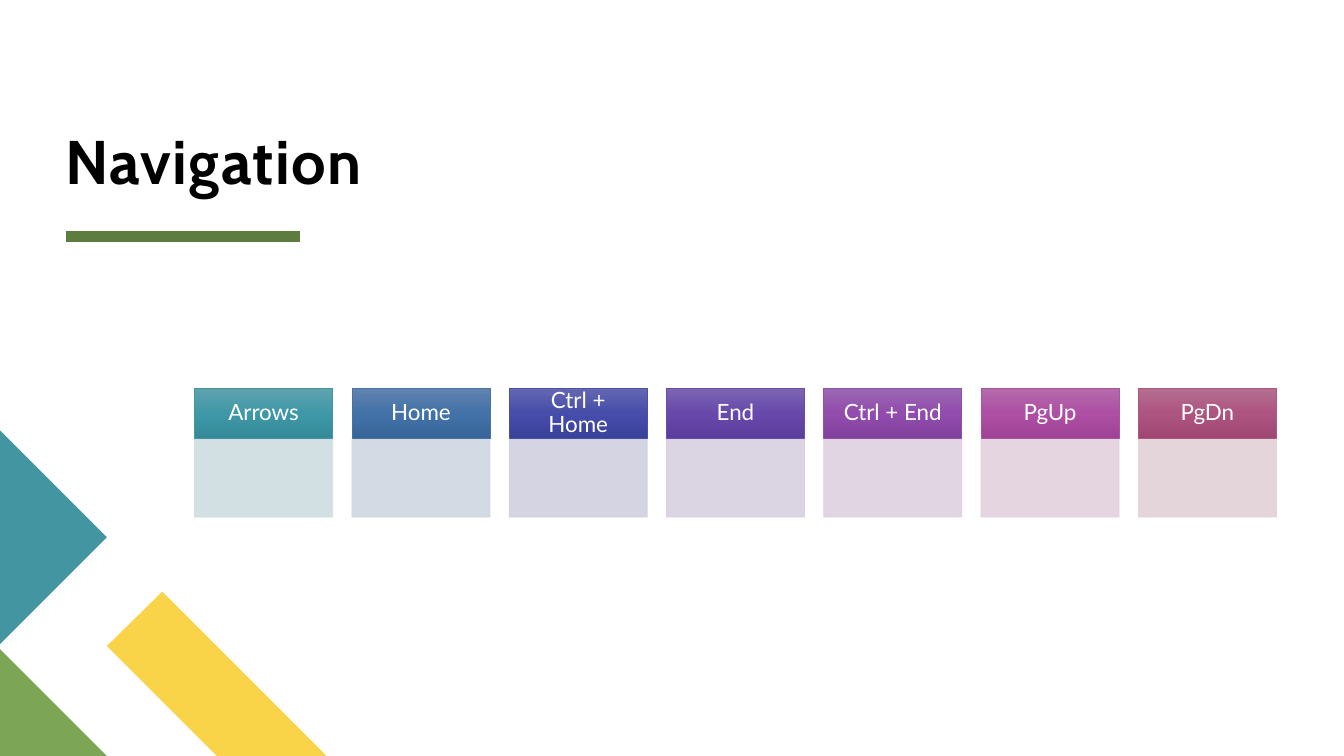
"""Builds the Navigation slide: a title above seven keyboard-key cards."""
from copy import deepcopy

from lxml import etree
from pptx import Presentation
from pptx.dml.color import RGBColor
from pptx.enum.shapes import MSO_CONNECTOR, MSO_SHAPE
from pptx.enum.text import MSO_ANCHOR, PP_ALIGN
from pptx.oxml.ns import qn
from pptx.util import Inches, Pt

RECT = MSO_SHAPE.RECTANGLE
STRAIGHT = MSO_CONNECTOR.STRAIGHT
MIDDLE, BOTTOM = MSO_ANCHOR.MIDDLE, MSO_ANCHOR.BOTTOM
CENTER = PP_ALIGN.CENTER

BLACK = RGBColor(0x00, 0x00, 0x00)
WHITE = RGBColor(0xFF, 0xFF, 0xFF)
DARK_GREEN = RGBColor(0x5D, 0x7D, 0x40)
YELLOW = RGBColor(0xF9, 0xD4, 0x48)
GREEN = RGBColor(0x7C, 0xA6, 0x55)
TEAL = RGBColor(0x44, 0x95, 0xA2)

CARDS = [
    ("Arrows", ("60A2AE", "3F98A7", "348A98"), "4495A2", "CFDDE0"),
    ("Home", ("6283AF", "4272A8", "37659A"), "4772A4", "CFD6E0"),
    ("Ctrl + Home", ("6468B1", "464DAA", "3A419B"), "4A51A5", "D0D0E1"),
    ("End", ("7B66B2", "6849AB", "5B3D9C"), "6A4DA7", "D7D0E1"),
    ("Ctrl + End", ("9C68B3", "914CAD", "82409D"), "8F50A8", "DED1E1"),
    ("PgUp", ("B36BAB", "AE4FA4", "9E4395"), "AA54A1", "E2D1DE"),
    ("PgDn", ("B36F8F", "AE5481", "9F4673"), "AA5881", "E2D1D8"),
]
LEFT, TOP, PITCH, WIDTH = 1.93, 3.85, 1.56, 1.37
HEAD_H, BODY_TOP, BODY_H = 0.5, 4.36, 0.77

CORNER = [
    (YELLOW, [(3.24, 7.5), (2.15, 7.5), (1.06, 6.41), (1.61, 5.87)]),
    (GREEN, [(1.06, 7.5), (0, 7.5), (0, 6.44)]),
    (TEAL, [(0, 4.27), (1.06, 5.33), (0, 6.39)]),
]


def add_text(tf, text, font, size, color):
    p = tf.paragraphs[0]
    r = p.add_run()
    r.text = text
    r.font.name = font
    r.font.size = Pt(size)
    r.font.color.rgb = color
    return p, r


def add_box(left, top, height, line_color):
    s = slide.shapes.add_shape(RECT, Inches(left), Inches(top), Inches(WIDTH), Inches(height))
    s.shadow.inherit = False
    s.line.color.rgb = RGBColor.from_string(line_color)
    s.line.width = Pt(0.5)
    return s


prs = Presentation()
prs.slide_width = Inches(13.33)
prs.slide_height = Inches(7.5)
slide = prs.slides.add_slide(prs.slide_layouts[6])

rule = slide.shapes.add_connector(STRAIGHT, Inches(0.65), Inches(2.35), Inches(2.98), Inches(2.35))
rule.line.color.rgb = DARK_GREEN
rule.line.width = Pt(8)
etree.SubElement(rule._element.spPr, qn("a:effectLst"))

for color, points in CORNER:
    (x, y), *rest = [(Inches(px), Inches(py)) for px, py in points]
    builder = slide.shapes.build_freeform(x, y)
    builder.add_line_segments(rest, close=True)
    s = builder.convert_to_shape()
    s.shadow.inherit = False
    s.fill.solid()
    s.fill.fore_color.rgb = color
    s.line.fill.background()

title = slide.shapes.add_textbox(Inches(0.65), Inches(0.11), Inches(11.89), Inches(1.84))
tf = title.text_frame
tf.word_wrap = True
tf.vertical_anchor = BOTTOM
tf.margin_left = tf.margin_right = tf.margin_top = tf.margin_bottom = 0
p, r = add_text(tf, "Navigation", "Cabin", 44, BLACK)
p.line_spacing = 0.8
r.font.bold = True
r.font._element.set("spc", "100")

for i, (key, shades, edge, tint) in enumerate(CARDS):
    x = LEFT + i * PITCH

    head = add_box(x, TOP, HEAD_H, edge)
    head.fill.gradient()
    head.fill.gradient_angle = 270
    stop_list = head._element.spPr.find(".//" + qn("a:gsLst"))
    stop_list.append(deepcopy(stop_list[0]))
    for stop, shade, position in zip(head.fill.gradient_stops, shades, (0, 0.5, 1)):
        stop.color.rgb = RGBColor.from_string(shade)
        stop.position = position
    tf = head.text_frame
    tf.word_wrap = True
    tf.vertical_anchor = MIDDLE
    tf.margin_left = tf.margin_right = Inches(0.12)
    tf.margin_top = tf.margin_bottom = Inches(0.07)
    p, r = add_text(tf, key, "Lato", 16, WHITE)
    p.alignment = CENTER
    p.line_spacing = 0.9

    body = add_box(x, BODY_TOP, BODY_H, tint)
    body.fill.solid()
    body.fill.fore_color.rgb = RGBColor.from_string(tint)
    for rgb in body._element.spPr.iter(qn("a:srgbClr")):
        etree.SubElement(rgb, qn("a:alpha"), val="90000")

prs.save("out.pptx")
